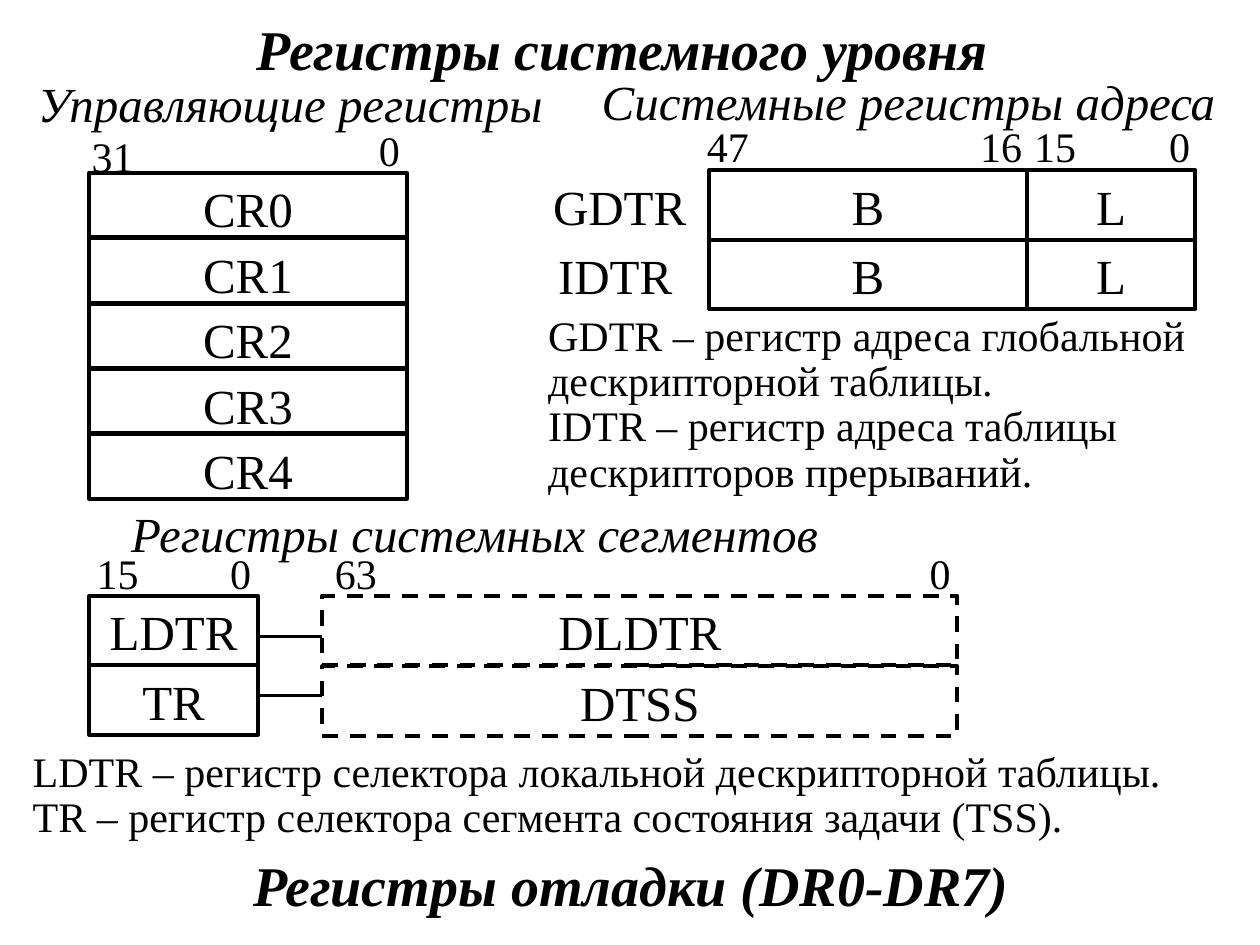
"""Build a slide of diagrams of the system-level processor registers."""
from dataclasses import dataclass

from lxml.etree import SubElement
from pptx import Presentation
from pptx.dml.color import RGBColor
from pptx.enum.dml import MSO_LINE_DASH_STYLE as Dash
from pptx.enum.shapes import MSO_CONNECTOR as Connector, MSO_SHAPE as Shape
from pptx.enum.text import MSO_ANCHOR as Anchor, PP_ALIGN as Align
from pptx.oxml.ns import qn
from pptx.shapes.base import BaseShape
from pptx.slide import Slide
from pptx.util import Cm, Pt

BLACK = RGBColor(0, 0, 0)
FONT = "Times New Roman"

TITLE = {"size": Pt(32), "bold": True, "italic": True}
HEADING = {"size": Pt(28), "italic": True}
NAME = {"size": Pt(28)}
NOTE = {"size": Pt(24)}

LABEL_WIDTH = 1.5
LABEL_HEIGHT = 1.37


@dataclass(frozen=True)
class Caption:
    left: float
    top: float
    width: float
    height: float
    lines: tuple[str, ...]
    style: dict
    align: Align = Align.CENTER
    anchor: Anchor = Anchor.TOP
    spacing: float = 1.0


@dataclass(frozen=True)
class RegisterColumn:
    left: float
    top: float
    width: float
    height: float
    step: float
    names: tuple[str, ...]
    dashed: bool = False


@dataclass(frozen=True)
class BitScale:
    top: float
    marks: tuple[tuple[str, float], ...]


CAPTIONS = (
    Caption(0, 0.13, 25.1, 1.7, ("Регистры системного уровня",), TITLE, anchor=Anchor.MIDDLE),
    Caption(0.3, 1.35, 11.1, LABEL_HEIGHT, ("Управляющие регистры",), HEADING),
    Caption(11.71, 1.32, 13.21, LABEL_HEIGHT, ("Системные регистры адреса",), HEADING),
    Caption(2.21, 10.03, 14.71, LABEL_HEIGHT, ("Регистры системных сегментов",), HEADING),
    Caption(10.9, 3.43, 3.71, LABEL_HEIGHT, ("GDTR",), NAME, Align.LEFT),
    Caption(11, 4.83, 3.71, LABEL_HEIGHT, ("IDTR",), NAME, Align.LEFT),
    Caption(10.8, 6.22, 13.79, 4.4, (
        "GDTR – регистр адреса глобальной\vдескрипторной таблицы.",
        "IDTR – регистр адреса таблицы\vдескрипторов прерываний.",
    ), NOTE, Align.LEFT, spacing=0.9),
    Caption(0.41, 15.01, 23.7, 2.21, (
        "LDTR – регистр селектора локальной дескрипторной таблицы.",
        "TR – регистр селектора сегмента состояния задачи (TSS).",
    ), NOTE, Align.LEFT, spacing=0.9),
    Caption(0.47, 17.02, 24.51, 1.63, ("Регистры отладки (DR0-DR7)",), TITLE),
)

COLUMNS = (
    RegisterColumn(1.8, 3.48, 6.4, 1.3, 1.32, ("CR0", "CR1", "CR2", "CR3", "CR4")),
    RegisterColumn(14.3, 3.43, 6.4, 1.4, 1.4, ("B", "B")),
    RegisterColumn(20.7, 3.43, 3.4, 1.4, 1.4, ("L", "L")),
    RegisterColumn(1.8, 12.01, 3.4, 1.4, 1.4, ("LDTR", "TR")),
    RegisterColumn(6.5, 12.01, 12.8, 1.4, 1.42, ("DLDTR", "DTSS"), dashed=True),
)

SCALES = (
    BitScale(2.51, (("31", 1.6),)),
    BitScale(2.39, (("0", 7.39),)),
    BitScale(2.31, (("47", 14), ("16", 19.51), ("15", 20.6), ("0", 23.32))),
    BitScale(10.92, (("15", 1.7), ("0", 4.39), ("63", 6.5), ("0", 18.49))),
)

LINK_START, LINK_END = 5.2, 6.5
LINK_HEIGHTS = (12.83, 14.02)


def write(box: BaseShape, lines: tuple[str, ...], style: dict, align: Align,
          anchor: Anchor = Anchor.TOP, spacing: float = 1.0) -> None:
    """Fill a box with one formatted paragraph per line."""
    frame = box.text_frame
    frame.word_wrap = True
    frame.vertical_anchor = anchor
    for number, line in enumerate(lines):
        para = frame.add_paragraph() if number else frame.paragraphs[0]
        para.text = line
        para.alignment = align
        para.line_spacing = spacing
        for span in para.runs:
            for key, value in {"name": FONT, **style}.items():
                setattr(span.font, key, value)
            span.font.color.rgb = BLACK


def draw_caption(page: Slide, caption: Caption) -> None:
    """Place a text box."""
    box = page.shapes.add_textbox(
        Cm(caption.left), Cm(caption.top), Cm(caption.width), Cm(caption.height))
    write(box, caption.lines, caption.style, caption.align, caption.anchor, caption.spacing)


def draw_column(page: Slide, column: RegisterColumn) -> None:
    """Stack the outlined registers of one column."""
    for row, name in enumerate(column.names):
        box = page.shapes.add_shape(
            Shape.RECTANGLE, Cm(column.left), Cm(column.top + row * column.step),
            Cm(column.width), Cm(column.height))
        box.shadow.inherit = False
        box.fill.background()
        box.line.color.rgb = BLACK
        box.line.width = Pt(2.25)
        if column.dashed:
            box.line.dash_style = Dash.DASH
        write(box, (name,), NAME, Align.CENTER)


def draw_scale(page: Slide, scale: BitScale) -> None:
    """Place the bit numbers above a register."""
    for number, left in scale.marks:
        draw_caption(page, Caption(
            left, scale.top, LABEL_WIDTH, LABEL_HEIGHT, (number,), NOTE, Align.LEFT))


def draw_link(page: Slide, height: float) -> None:
    """Join a selector register to its descriptor register."""
    link = page.shapes.add_connector(
        Connector.STRAIGHT, Cm(LINK_START), Cm(height), Cm(LINK_END), Cm(height))
    link.line.color.rgb = BLACK
    link.line.width = Pt(1.5)
    SubElement(link._element.spPr, qn("a:effectLst"))


def main() -> None:
    """Create the deck and save it."""
    deck = Presentation()
    deck.slide_width, deck.slide_height = Cm(25.4), Cm(19.05)
    page = deck.slides.add_slide(deck.slide_layouts[6])
    for draw, items in (
        (draw_caption, CAPTIONS),
        (draw_scale, SCALES),
        (draw_column, COLUMNS),
        (draw_link, LINK_HEIGHTS),
    ):
        for item in items:
            draw(page, item)
    deck.save("out.pptx")


if __name__ == "__main__":
    main()
